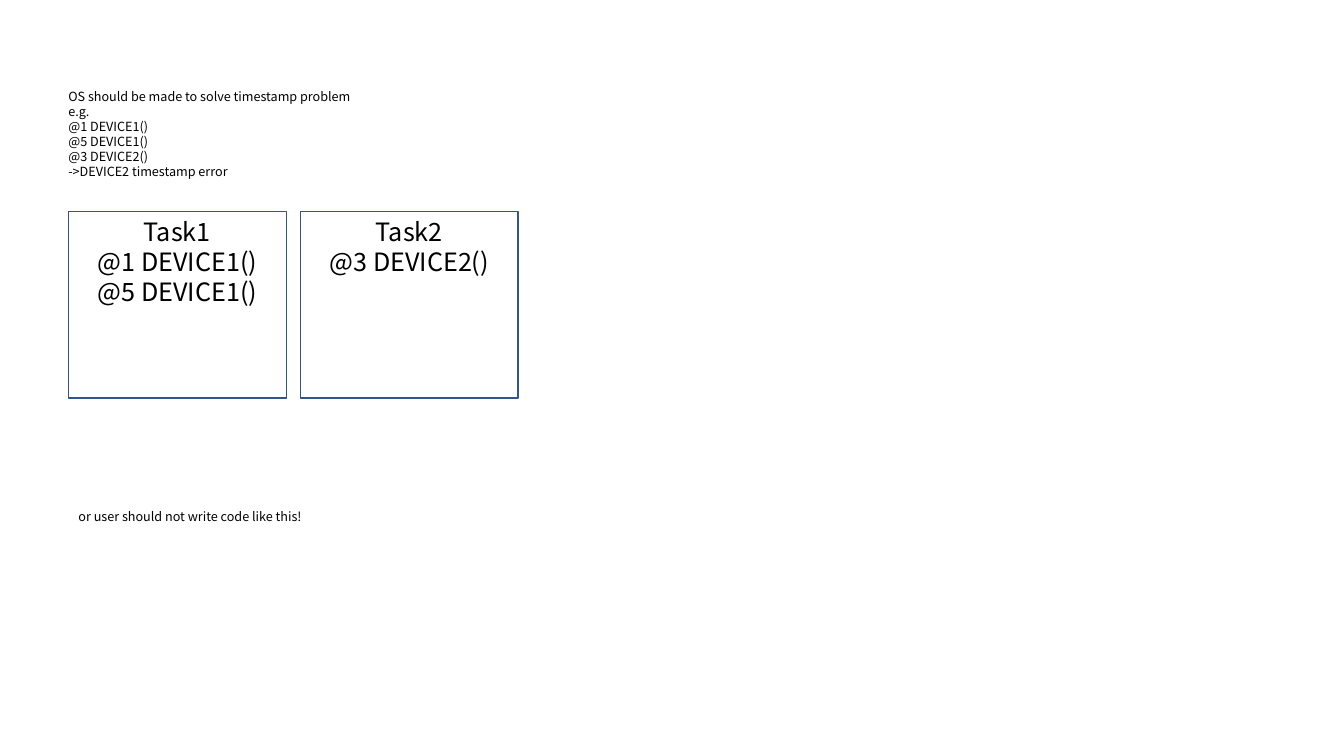
from dataclasses import dataclass

from pptx import Presentation
from pptx.dml.color import RGBColor
from pptx.enum.shapes import MSO_SHAPE
from pptx.enum.text import MSO_ANCHOR, PP_ALIGN
from pptx.util import Inches, Pt

RECTANGLE = MSO_SHAPE.RECTANGLE
TOP = MSO_ANCHOR.TOP
LEFT, CENTER = PP_ALIGN.LEFT, PP_ALIGN.CENTER
BLANK_LAYOUT = 6


@dataclass(frozen=True)
class Theme:
    font: str = "Noto Sans CJK KR"
    text: RGBColor = RGBColor(0x00, 0x00, 0x00)
    outline: RGBColor = RGBColor(0x32, 0x54, 0x91)
    note_size: float = 9
    task_size: float = 18
    line_spacing: float = 1.19
    outline_width: float = 1


class SlideBuilder:
    def __init__(self, slide, theme):
        self.slide = slide
        self.theme = theme

    def add_lines(self, shape, lines, size, alignment):
        frame = shape.text_frame
        frame.word_wrap = True
        frame.vertical_anchor = TOP
        for index, line in enumerate(lines):
            paragraph = frame.add_paragraph() if index else frame.paragraphs[0]
            paragraph.alignment = alignment
            paragraph.line_spacing = Pt(size * self.theme.line_spacing)
            run = paragraph.add_run()
            run.text = line
            run.font.name = self.theme.font
            run.font.size = Pt(size)
            run.font.color.rgb = self.theme.text

    def note(self, left, top, lines):
        shape = self.slide.shapes.add_textbox(
            Inches(left), Inches(top), Inches(3.4), Inches(1.03))
        self.add_lines(shape, lines, self.theme.note_size, LEFT)

    def task_box(self, left, top, lines):
        shape = self.slide.shapes.add_shape(
            RECTANGLE, Inches(left), Inches(top), Inches(2.16), Inches(1.85))
        shape.shadow.inherit = False
        shape.fill.background()
        shape.line.color.rgb = self.theme.outline
        shape.line.width = Pt(self.theme.outline_width)
        self.add_lines(shape, lines, self.theme.task_size, CENTER)


def main():
    presentation = Presentation()
    presentation.slide_width = Inches(13.33)
    presentation.slide_height = Inches(7.5)
    slide = presentation.slides.add_slide(presentation.slide_layouts[BLANK_LAYOUT])
    builder = SlideBuilder(slide, Theme())

    builder.note(0.58, 0.83, [
        "OS should be made to solve timestamp problem",
        "e.g.",
        "@1 DEVICE1()",
        "@5 DEVICE1()",
        "@3 DEVICE2()",
        "->DEVICE2 timestamp error",
    ])

    tasks = [
        ["Task1", "@1 DEVICE1()", "@5 DEVICE1()"],
        ["Task2", "@3 DEVICE2()"],
    ]
    for column, lines in enumerate(tasks):
        builder.task_box(0.68 + column * 2.3, 2.1, lines)

    builder.note(0.68, 5, ["or user should not write code like this!"])

    presentation.save("out.pptx")


if __name__ == "__main__":
    main()
